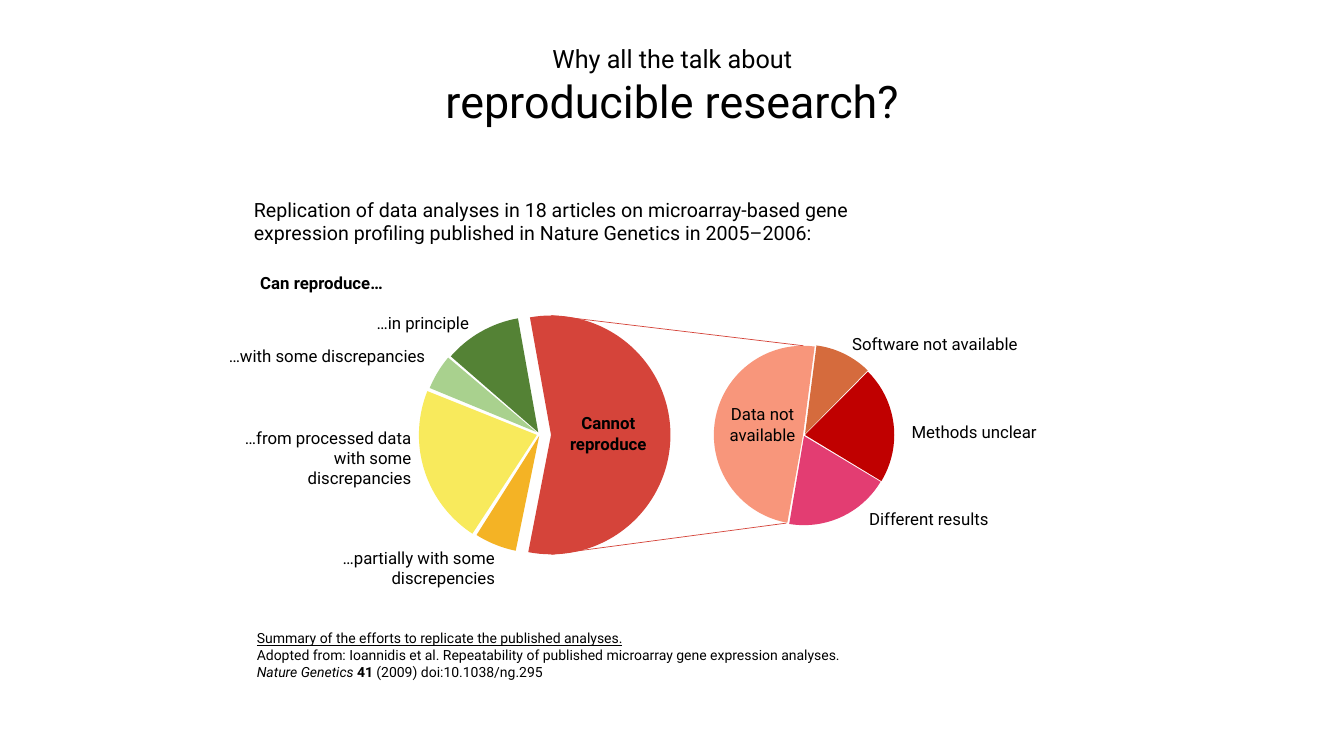
from lxml import etree
from pptx import Presentation
from pptx import util as u
from pptx.dml.color import RGBColor
from pptx.enum import shapes, text
from pptx.oxml.ns import qn

WIDTH, HEIGHT = u.Inches(13.33), u.Inches(7.5)
COLUMN, ROW = WIDTH / 40, HEIGHT / 30
FONT = "Roboto"
LEFT, CENTER, RIGHT = text.PP_ALIGN.LEFT, text.PP_ALIGN.CENTER, text.PP_ALIGN.RIGHT
COLORS = {
    "text": "000000",
    "cannot": "D5443A",
    "principle": "548235",
    "discrepancies": "A9D18E",
    "processed": "F8EA5C",
    "partial": "F4B325",
    "data": "F8967B",
    "software": "D56B3D",
    "methods": "C00000",
    "results": "E33D72",
}
SLICES = [
    ("cannot", 16.4, 17.26, 7.11, 259.84, 100.97),
    ("principle", 16.02, 17.16, 6.9, 221.01, 259.91),
    ("discrepancies", 15.96, 17.14, 6.86, 202.41, 220.16),
    ("processed", 15.98, 17.26, 7.02, 123.12, 201.81),
    ("partial", 16.05, 17.3, 6.98, 101.55, 122.3),
    ("data", 23.9, 17.26, 5.31, 100.15, 277.49),
    ("software", 23.96, 17.22, 5.31, 277.37, 314.6),
    ("methods", 23.96, 17.26, 5.31, 314.86, 31.15),
    ("results", 23.93, 17.3, 5.31, 30.91, 99.55),
]
LINKS = [(16.41, 12.52, 23.91, 13.72), (16.41, 22, 23.4, 20.76)]
LABELS = [
    ("Data not available", (21.3, 15.84, 2.79, 2), CENTER, False),
    ("Software not available", (24.93, 13.04, 5.79, 1.2), CENTER, False),
    ("Methods unclear", (26.1, 16.52, 5.79, 1.2), CENTER, False),
    ("Different results", (24.75, 20, 5.79, 1.2), CENTER, False),
    ("Cannot reproduce", (16.11, 16.2, 3.99, 2), CENTER, True),
    ("Can reproduce…", (7.17, 10.64, 4.8, 1.2), CENTER, True),
    ("…in principle", (9.69, 12.2, 5.79, 1.2), CENTER, False),
    ("…with some discrepancies", (6.42, 13.52, 6.54, 2), RIGHT, False),
    ("…from processed data with some discrepancies", (6.6, 16.76, 5.94, 2.84), RIGHT, False),
    ("…partially with some discrepencies", (9.24, 21.52, 5.79, 2), RIGHT, False),
]
TITLE = [
    [("Why all the talk about", {"size": u.Pt(18)})],
    [("reproducible research?", {"size": u.Pt(32)})],
]
INTRO = (
    "Replication of data analyses in 18 articles on microarray-based gene "
    "expression profiling published in Nature Genetics in 2005–2006:"
)
SOURCE = [
    [("Summary of the efforts to replicate the published analyses.", {"underline": True})],
    [("Adopted from: Ioannidis et al. Repeatability of published microarray gene expression analyses.", {})],
    [("Nature Genetics ", {"italic": True}), ("41", {"bold": True}), (" (2009) doi:10.1038/ng.295", {})],
]


def color(name):
    return RGBColor.from_string(COLORS[name])


def apply(target, values):
    for name, value in values.items():
        setattr(target, name, value)


def place(left, top, width, height):
    return [round(n) for n in (left * COLUMN, top * ROW, width * COLUMN, height * ROW)]


def write(box, paragraphs, size, align):
    frame = box.text_frame
    apply(frame, {
        "word_wrap": True,
        "auto_size": text.MSO_AUTO_SIZE.SHAPE_TO_FIT_TEXT,
        "vertical_anchor": text.MSO_ANCHOR.TOP,
    })
    for index, spans in enumerate(paragraphs):
        para = frame.add_paragraph() if index else frame.paragraphs[0]
        para.alignment = align
        for words, values in spans:
            span = para.add_run()
            span.text = words
            apply(span.font, {"name": FONT, "size": u.Pt(size), **values})
            span.font.color.rgb = color("text")


def add_text(parent, paragraphs, grid, size, align=LEFT):
    write(parent.add_textbox(*place(*grid)), paragraphs, size, align)


def add_title(page):
    box = page.shapes.title
    apply(box, dict(zip(("left", "top", "width", "height"), place(11.55, 1.52, 16.92, 3.92))))
    write(box, TITLE, 18, CENTER)


def add_slice(parent, name, column, row, diameter, start, end):
    size = round(diameter * COLUMN)
    left, top = round(column * COLUMN - size / 2), round(row * ROW - size / 2)
    pie = parent.add_shape(shapes.MSO_SHAPE.PIE, left, top, size, size)
    for index, degrees in enumerate((start, end)):
        pie.adjustments[index] = degrees * 0.6
    pie.shadow.inherit = False
    pie.fill.solid()
    pie.fill.fore_color.rgb = color(name)
    pie.line.fill.background()


def add_link(parent, *ends):
    link = parent.add_connector(shapes.MSO_CONNECTOR.STRAIGHT, *place(*ends))
    link.line.color.rgb = color("cannot")
    link.line.width = u.Pt(0.5)
    etree.SubElement(link._element.spPr, qn("a:effectLst"))


def main():
    deck = Presentation()
    apply(deck, {"slide_width": WIDTH, "slide_height": HEIGHT})
    page = deck.slides.add_slide(deck.slide_layouts[5])
    add_title(page)
    add_text(page.shapes, [[(INTRO, {})]], (7.26, 7.64, 20.01, 2.28), 14)
    add_text(page.shapes, SOURCE, (7.35, 24.8, 28.02, 2.44), 10)
    diagram = page.shapes.add_group_shape().shapes
    for piece in SLICES:
        add_slice(diagram, *piece)
    for ends in LINKS:
        add_link(diagram, *ends)
    for words, grid, align, bold in LABELS:
        add_text(diagram, [[(words, {"bold": bold})]], grid, 12, align)
    deck.save("out.pptx")


if __name__ == "__main__":
    main()
